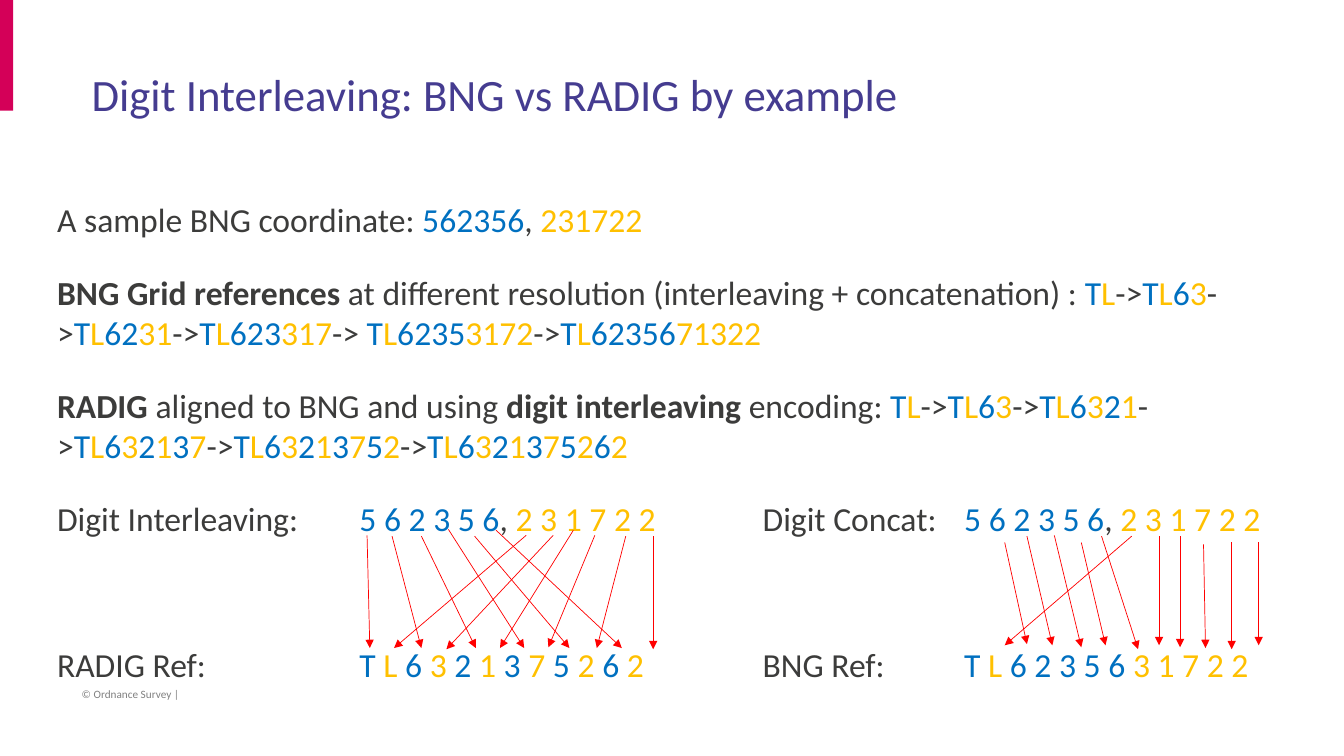
from itertools import cycle
from lxml.etree import SubElement
from pptx import Presentation
from pptx.dml.color import RGBColor
from pptx.enum.shapes import MSO_CONNECTOR, MSO_SHAPE
from pptx.oxml.ns import qn
from pptx.util import Cm, Pt

# Content
TITLE = "Digit Interleaving: BNG vs RADIG by example"
FOOTER = "© Ordnance Survey |"
EAST, NORTH = "562356", "231722"
BNG = "TL->TL63->TL6231->TL623317-> TL62353172->TL6235671322"
RADIG = "TL->TL63->TL6321->TL632137->TL63213752->TL6321375262"
COLORS = {"dark": "3C3C3B", "blue": "0070C0", "gold": "FFC000", "title": "453C90",
          "foot": "808080", "bar": "D40058", "arrow": "FF0000"}
FONT = "Calibri"
TABS = (7.62, 17.78, 22.86)

# Arrows from digit to reference, in cm: x1, y1, x2, y2
WEAVE = [
    (9.25, 13.49, 9.32, 16.33), (13.26, 13.49, 9.93, 16.33),
    (9.88, 13.51, 10.62, 16.33), (13.94, 13.49, 11.25, 16.36),
    (10.62, 13.51, 11.99, 16.33), (14.45, 13.36, 12.6, 16.33),
    (11.3, 13.34, 13.21, 16.33), (14.99, 13.49, 13.82, 16.31),
    (11.96, 13.51, 14.35, 16.33), (15.77, 13.51, 15.04, 16.33),
    (12.5, 13.36, 15.67, 16.33), (16.46, 13.51, 16.46, 16.36),
]
CONCAT = [
    (28.52, 13.51, 25.32, 16.26), (25.32, 13.67, 25.88, 16.23),
    (29.21, 13.51, 29.21, 16.26), (25.88, 13.51, 26.52, 16.26),
    (29.74, 13.51, 29.74, 16.31), (26.57, 13.49, 27.25, 16.31),
    (30.33, 13.72, 30.38, 16.33), (27.25, 13.67, 27.86, 16.26),
    (31.04, 13.67, 31.04, 16.36), (27.76, 13.51, 28.68, 16.36),
    (31.72, 13.67, 31.72, 16.26),
]


# Runs are (text, colour) or (text, colour, bold)
def mix(code):
    return list(zip(code, cycle(("blue", "gold"))))


def halves(code):
    mid = len(code) // 2 + 1
    return [p for p in mix(code[:2]) + [(code[2:mid], "blue"), (code[mid:], "gold")] if p[0]]


def chain(refs, paint):
    runs = []
    for i, ref in enumerate(refs.split("->")):
        if i:
            runs.append(("-> " if ref.startswith(" ") else "->", "dark"))
        runs += paint(ref.strip())
    return runs


def spaced(runs):
    return [(" ".join(t) + " ", c) for t, c in runs]


DIGITS = [(" ".join(EAST), "blue"), (", ", "dark"), (" ".join(NORTH), "gold")]
BODY = [
    [("A sample BNG coordinate: ", "dark"), (EAST, "blue"), (", ", "dark"), (NORTH, "gold")],
    [("BNG Grid references ", "dark", True),
     ("at different resolution (interleaving + concatenation) : ", "dark"),
     *chain(BNG, halves)],
    [("RADIG", "dark", True), (" aligned to BNG and using ", "dark"),
     ("digit interleaving", "dark", True), (" encoding: ", "dark"), *chain(RADIG, mix)],
    [("Digit Interleaving: \t", "dark"), *DIGITS, ("\tDigit Concat:\t", "dark"), *DIGITS],
    [("RADIG Ref:\t", "dark"), *spaced(mix("TL6321375262")),
     ("\tBNG Ref:\t", "dark"), *spaced(halves("TL6235631722"))],
]

deck = Presentation()
deck.slide_width, deck.slide_height = Cm(33.87), Cm(19.05)
slide = deck.slides.add_slide(deck.slide_layouts[6])


def write(paras, box, size, pad=True, line=None, before=0, after=0, tabs=()):
    frame = slide.shapes.add_textbox(*map(Cm, box)).text_frame
    frame.word_wrap = True
    if not pad:
        frame.margin_left = frame.margin_right = frame.margin_top = frame.margin_bottom = 0
    for i, runs in enumerate(paras):
        para = frame.paragraphs[0] if i == 0 else frame.add_paragraph()
        if tabs:
            stops = SubElement(para._p.get_or_add_pPr(), qn("a:tabLst"))
            for pos in tabs:
                SubElement(stops, qn("a:tab"), pos=str(Cm(pos)), algn="l")
        para.line_spacing = line
        para.space_before, para.space_after = Pt(before if i else 0), Pt(after)
        for words, color, *bold in runs:
            run = para.add_run()
            run.text = words
            run.font.name, run.font.size = FONT, Pt(size)
            run.font.bold = bool(bold)
            run.font.color.rgb = RGBColor.from_string(COLORS[color])
    return frame


def arrow(x1, y1, x2, y2):
    link = slide.shapes.add_connector(MSO_CONNECTOR.STRAIGHT, *map(Cm, (x1, y1, x2, y2)))
    link.line.color.rgb = RGBColor.from_string(COLORS["arrow"])
    link.line.width = Pt(0.5)
    SubElement(link.line._get_or_add_ln(), qn("a:tailEnd"), type="triangle")
    SubElement(link._element.spPr, qn("a:effectLst"))


# Accent bar, footer and title
bar = slide.shapes.add_shape(MSO_SHAPE.RECTANGLE, 0, 0, Cm(0.33), Cm(2.79))
bar.shadow.inherit = False
bar.fill.solid()
bar.fill.fore_color.rgb = RGBColor.from_string(COLORS["bar"])
bar.line.fill.background()
write([[(FOOTER, "foot")]], (2.06, 17.32, 8.89, 0.33), 8, pad=False)
write([[(TITLE, "title")]], (2.06, 1.7, 29.77, 2.06), 32, line=0.9)

# Body, with room for the arrows above its last line
body = write(BODY, (1.19, 4.9, 31.7, 12.45), 24, before=10, after=13, tabs=TABS)
body.paragraphs[-1].space_before = Pt(62.3)

# Arrows
for ends in WEAVE + CONCAT:
    arrow(*ends)

deck.save("out.pptx")
